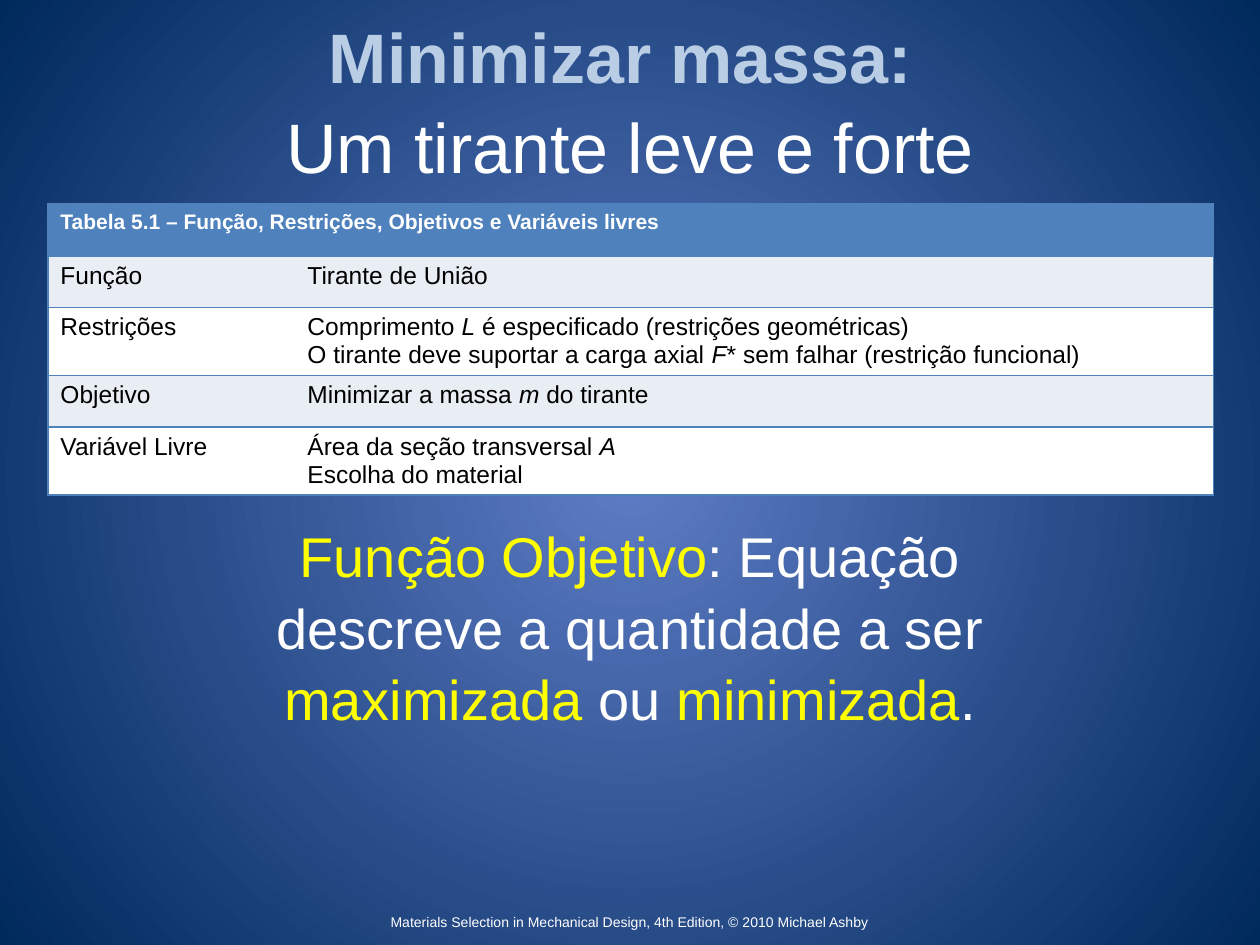
import pptx
import pptx.dml.color
import pptx.enum.text
import pptx.oxml
import pptx.oxml.ns
import pptx.util
from pptx.util import Inches

FONT = "Arial"
COLORS = {
    "centre": "5E7CC5",
    "edge": "00295C",
    "heading": "B9CDE5",
    "accent": "FFFF00",
    "white": "FFFFFF",
    "black": "000000",
    "table": "4F81BD",
    "band": "E9EDF4",
}
HEADER = "Tabela 5.1 – Função, Restrições, Objetivos e Variáveis livres"
# Each row: height, label, lines; every second piece of a line is italic.
ROWS = [
    (0.41, "Função", [["Tirante de União"]]),
    (0.54, "Restrições", [
        ["Comprimento ", "L", " é especificado (restrições geométricas)"],
        ["O tirante deve suportar a carga axial ", "F",
         "* sem falhar (restrição funcional)"]]),
    (0.41, "Objetivo", [["Minimizar a massa ", "m", " do tirante"]]),
    (0.54, "Variável Livre", [["Área da seção transversal ", "A"],
                              ["Escolha do material"]]),
]


def rgb(name):
    return pptx.dml.color.RGBColor.from_string(COLORS[name])


def add_run(p, text, size, color, bold=False, italic=False):
    r = p.add_run()
    r.text = text
    r.font.name = FONT
    r.font.size = pptx.util.Pt(size)
    r.font.color.rgb = rgb(color)
    r.font.bold = bold
    r.font.italic = italic


def set_background(slide):
    """Radial gradient from the middle of the slide."""
    fill = slide.background.fill
    fill.gradient()
    for stop, name, position in zip(fill.gradient_stops, ("centre", "edge"), (0, 1)):
        stop.color.rgb = rgb(name)
        stop.position = position
    ns = pptx.oxml.ns
    lin = slide.element.find(".//" + ns.qn("a:lin"))
    radial = pptx.oxml.parse_xml(
        f'<a:path {ns.nsdecls("a")} path="circle">'
        '<a:fillToRect l="50000" t="50000" r="50000" b="50000"/></a:path>')
    lin.getparent().replace(lin, radial)


def set_box(sp, left, top, width, height, anchor):
    """Place a text shape and return its centred first paragraph."""
    sp.left, sp.top = Inches(left), Inches(top)
    sp.width, sp.height = Inches(width), Inches(height)
    tf = sp.text_frame
    tf.word_wrap = True
    tf.auto_size = pptx.enum.text.MSO_AUTO_SIZE.NONE
    tf.vertical_anchor = anchor
    p = tf.paragraphs[0]
    p.alignment = pptx.enum.text.PP_ALIGN.CENTER
    return p


def add_text(slide, left, top, width, height, anchor):
    sp = slide.shapes.add_textbox(0, 0, 0, 0)
    return set_box(sp, left, top, width, height, anchor)


def style_cell(cell, fill, sides):
    """Draw borders on the given sides (L, R, T, B), none on the others."""
    tc_pr = cell._tc.get_or_add_tcPr()
    for side in "LRTB":
        line = "<a:noFill/>"
        if side in sides:
            line = f'<a:solidFill><a:srgbClr val="{COLORS["table"]}"/></a:solidFill>'
        tc_pr.append(pptx.oxml.parse_xml(
            f'<a:ln{side} {pptx.oxml.ns.nsdecls("a")} w="12700">{line}</a:ln{side}>'))
    cell.fill.solid()
    cell.fill.fore_color.rgb = rgb(fill)


def fill_cell(cell, lines):
    tf = cell.text_frame
    for i, pieces in enumerate(lines):
        p = tf.add_paragraph() if i else tf.paragraphs[0]
        for j, piece in enumerate(pieces):
            add_run(p, piece, 14, "black", italic=j % 2 == 1)


def add_requirements_table(slide):
    table = slide.shapes.add_table(
        len(ROWS) + 1, 2, Inches(0.38), Inches(1.62), Inches(9.25), Inches(2.31)).table
    table.columns[0].width = Inches(1.96)
    table.columns[1].width = Inches(7.29)
    table.rows[0].height = Inches(0.41)
    header = table.cell(0, 0)
    header.merge(table.cell(0, 1))
    style_cell(header, "table", "LRTB")
    style_cell(table.cell(0, 1), "table", "RTB")
    add_run(header.text_frame.paragraphs[0], HEADER, 12, "white", bold=True)
    for i, (height, label, lines) in enumerate(ROWS, start=1):
        table.rows[i].height = Inches(height)
        fill = "band" if i % 2 else "white"
        for col, content, sides in ((0, [[label]], "LTB"), (1, lines, "RTB")):
            style_cell(table.cell(i, col), fill, sides)
            fill_cell(table.cell(i, col), content)


def main():
    prs = pptx.Presentation()
    prs.slide_width, prs.slide_height = Inches(10), Inches(7.5)
    slide = prs.slides.add_slide(prs.slide_layouts[5])
    set_background(slide)
    anchor = pptx.enum.text.MSO_ANCHOR

    p = set_box(slide.shapes.title, 0.75, -0.03, 8.5, 1.61, anchor.MIDDLE)
    p.line_spacing = 1.07
    add_run(p, "Minimizar massa: ", 40, "heading", bold=True)
    p.add_line_break()
    add_run(p, "Um tirante leve e forte", 40, "white")

    p = add_text(slide, 0, 7.17, 10, 0.3, anchor.MIDDLE)
    add_run(p, "Materials Selection in Mechanical Design, 4th Edition, "
               "© 2010 Michael Ashby", 8, "white")

    p = add_text(slide, 1.5, 4.05, 7, 1.92, anchor.TOP)
    p.line_spacing = 1.07
    for text, color in (
            ("Função Objetivo", "accent"),
            (": Equação descreve a quantidade a ser ", "white"),
            ("maximizada", "accent"), (" ou ", "white"),
            ("minimizada", "accent"), (".", "white")):
        add_run(p, text, 32, color)

    add_requirements_table(slide)
    prs.save("out.pptx")


if __name__ == "__main__":
    main()
